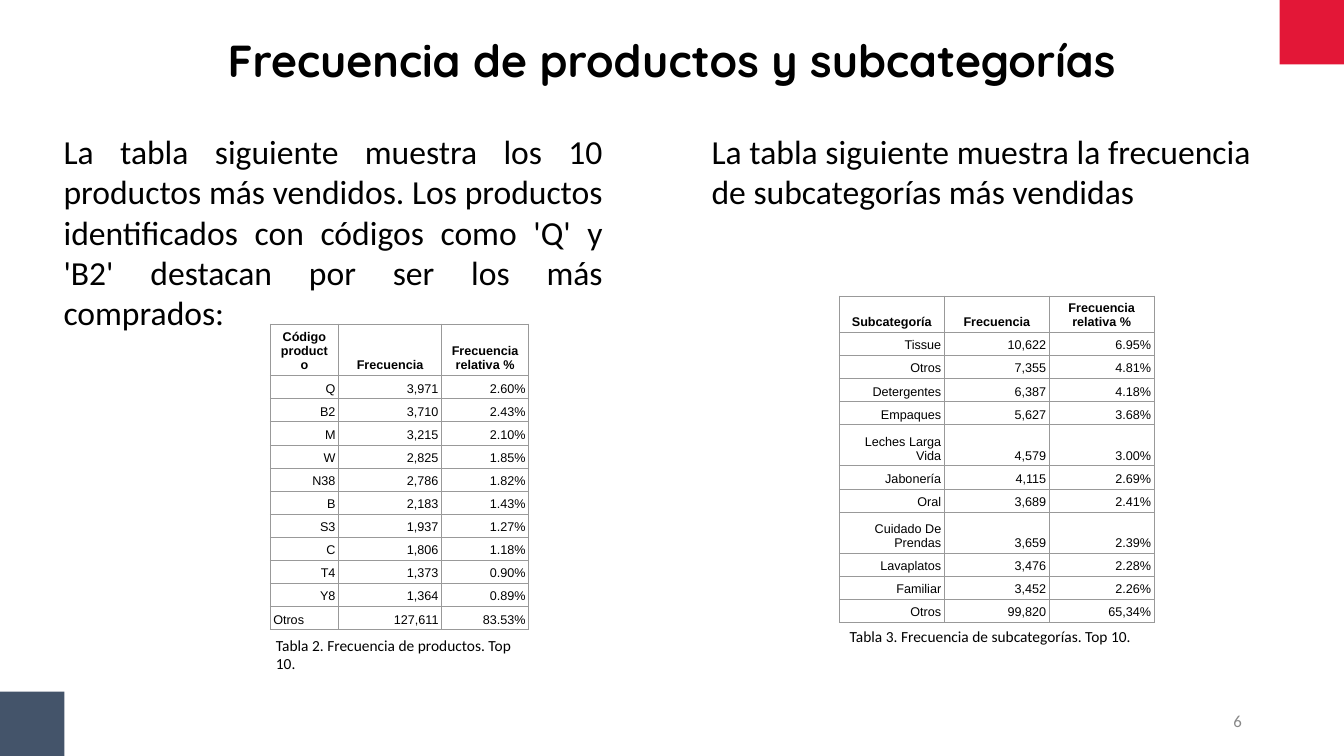
from lxml import etree
from pptx import Presentation
from pptx.dml.color import RGBColor
from pptx.enum import shapes, text
from pptx.oxml.ns import qn
from pptx.util import Pt

RED = RGBColor(0xE3, 0x17, 0x37)
SLATE = RGBColor(0x44, 0x54, 0x6A)
BLACK = RGBColor(0, 0, 0)
WHITE = RGBColor(0xFF, 0xFF, 0xFF)
GREY = RGBColor(0x88, 0x88, 0x88)
BORDER = RGBColor(0x99, 0x99, 0x99)
ALIGN = text.PP_ALIGN

PRODUCTS = [
    ("Código producto", "Frecuencia", "Frecuencia relativa %"),
    ("Q", "3,971", "2.60%"),
    ("B2", "3,710", "2.43%"),
    ("M", "3,215", "2.10%"),
    ("W", "2,825", "1.85%"),
    ("N38", "2,786", "1.82%"),
    ("B", "2,183", "1.43%"),
    ("S3", "1,937", "1.27%"),
    ("C", "1,806", "1.18%"),
    ("T4", "1,373", "0.90%"),
    ("Y8", "1,364", "0.89%"),
    ("Otros", "127,611", "83.53%"),
]
SUBCATEGORIES = [
    ("Subcategoría", "Frecuencia", "Frecuencia relativa %"),
    ("Tissue", "10,622", "6.95%"),
    ("Otros", "7,355", "4.81%"),
    ("Detergentes", "6,387", "4.18%"),
    ("Empaques", "5,627", "3.68%"),
    ("Leches Larga Vida", "4,579", "3.00%"),
    ("Jabonería", "4,115", "2.69%"),
    ("Oral", "3,689", "2.41%"),
    ("Cuidado De Prendas", "3,659", "2.39%"),
    ("Lavaplatos", "3,476", "2.28%"),
    ("Familiar", "3,452", "2.26%"),
    ("Otros", "99,820", "65,34%"),
]


def write(frame, words, size, font, color, align, bold=False):
    """Fill a text frame with one formatted paragraph."""
    frame.text = words
    frame.word_wrap = True
    para = frame.paragraphs[0]
    para.alignment = align
    para.space_before = Pt(0)
    span = para.runs[0].font
    span.size, span.name, span.bold = Pt(size), font, bold
    span.color.rgb = color


def add_table(rows, left, top, widths, tall_rows):
    frame = page.shapes.add_table(
        len(rows), len(widths), Pt(left), Pt(top), Pt(sum(widths)), Pt(16.5 * len(rows)))
    table = frame.table
    table.first_row = table.horz_banding = False
    for column, width in zip(table.columns, widths):
        column.width = Pt(width)
    for r, row in enumerate(rows):
        table.rows[r].height = Pt(29.3 if r in tall_rows else 16.5)
        for c, words in enumerate(row):
            cell = table.cell(r, c)
            header = r == 0
            write(cell.text_frame, words, 9, "Arial", BLACK,
                  ALIGN.CENTER if header else ALIGN.RIGHT, header)
            cell.vertical_anchor = text.MSO_ANCHOR.BOTTOM
            cell.margin_left = cell.margin_right = Pt(2.2)
            cell.margin_top = cell.margin_bottom = Pt(2.2)
            properties = cell._tc.get_or_add_tcPr()
            for side in ("lnL", "lnR", "lnT", "lnB"):
                line = etree.SubElement(properties, qn(f"a:{side}"), w=str(Pt(0.75)))
                fill = etree.SubElement(line, qn("a:solidFill"))
                etree.SubElement(fill, qn("a:srgbClr"), val=str(BORDER))
            if header or c < 2:
                cell.fill.solid()
                cell.fill.fore_color.rgb = WHITE
            else:
                cell.fill.background()
    return table


deck = Presentation()
deck.slide_width, deck.slide_height = Pt(960), Pt(540)
page = deck.slides.add_slide(deck.slide_layouts.get_by_name("Two Content"))

# Corner squares
for left, top, color in ((914, 0, RED), (0, 494, SLATE)):
    corner = page.shapes.add_shape(
        shapes.MSO_SHAPE.RECTANGLE, Pt(left), Pt(top), Pt(46), Pt(46))
    corner.shadow.inherit = False
    corner.fill.solid()
    corner.fill.fore_color.rgb = color
    corner.line.fill.background()

# Title and introductions
title, products_intro, subcategories_intro = page.placeholders
for box, left, top, width, height in (
        (title, 115.2, 23, 729.6, 39),
        (products_intro, 45.4, 93.6, 385.2, 145.4),
        (subcategories_intro, 508.3, 93.6, 385.2, 58.3)):
    box.left, box.top, box.width, box.height = Pt(left), Pt(top), Pt(width), Pt(height)
    frame = box.text_frame
    frame.margin_left = frame.margin_right = frame.margin_top = frame.margin_bottom = 0
    frame.auto_size = text.MSO_AUTO_SIZE.SHAPE_TO_FIT_TEXT
write(title.text_frame, "Frecuencia de productos y subcategorías",
      32, "Quicksand", BLACK, ALIGN.CENTER, True)
for box, words in (
        (products_intro, "La tabla siguiente muestra los 10 productos más vendidos. "
         "Los productos identificados con códigos como 'Q' y 'B2' destacan por ser "
         "los más comprados:"),
        (subcategories_intro, "La tabla siguiente muestra la frecuencia de "
         "subcategorías más vendidas")):
    write(box.text_frame, words, 24, "Calibri", BLACK, ALIGN.JUSTIFY)
    indent = box.text_frame.paragraphs[0]._p.get_or_add_pPr()
    indent.set("marL", "0")
    indent.set("indent", "0")
    etree.SubElement(indent, qn("a:buNone"))

# Frequency tables
products = add_table(PRODUCTS, 193, 231.5, (48.8, 73.6, 62.2), ())
code_header = products.cell(0, 0)
code_header.margin_left = code_header.margin_right = Pt(7.2)
products.cell(len(PRODUCTS) - 1, 0).text_frame.paragraphs[0].alignment = ALIGN.LEFT
add_table(SUBCATEGORIES, 599.5, 211.5, (75, 75, 75), (5, 8))

# Captions and slide number
for words, left, top, width, height, size, color, align, anchor in (
        ("Tabla 2. Frecuencia de productos. Top 10.", 190, 450.7, 184.3, 55.4,
         11, BLACK, ALIGN.LEFT, text.MSO_ANCHOR.TOP),
        ("Tabla 3. Frecuencia de subcategorías. Top 10.", 599.8, 444.2, 245.5, 42.5,
         11, BLACK, ALIGN.LEFT, text.MSO_ANCHOR.TOP),
        ("6", 678.2, 500.4, 216, 28.8, 12, GREY, ALIGN.RIGHT, text.MSO_ANCHOR.MIDDLE)):
    box = page.shapes.add_textbox(Pt(left), Pt(top), Pt(width), Pt(height))
    write(box.text_frame, words, size, "Calibri", color, align)
    box.text_frame.vertical_anchor = anchor

deck.save("out.pptx")
